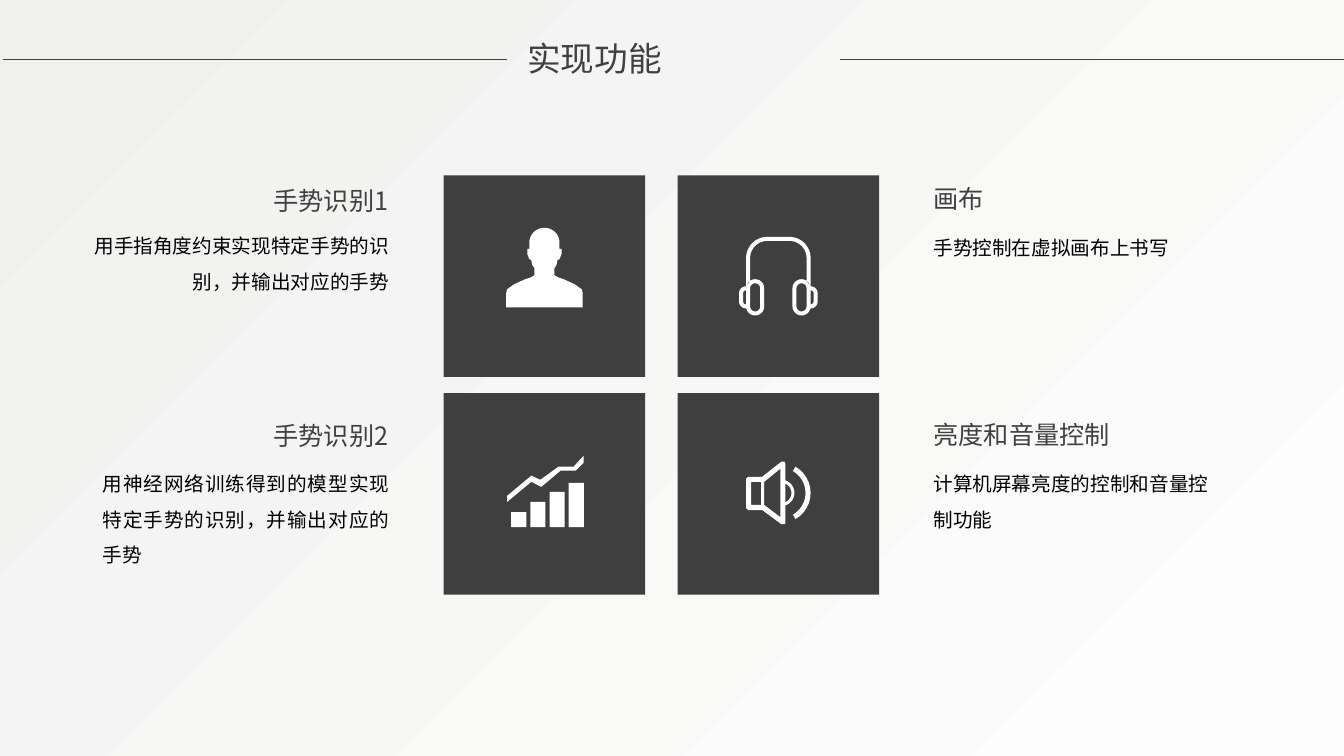
"""Builds the slide listing four functions around a two-by-two grid of icon tiles."""
from dataclasses import dataclass
from math import cos, radians, sin

from lxml import etree
from pptx import Presentation
from pptx.dml.color import RGBColor
from pptx.enum.shapes import MSO_CONNECTOR, MSO_SHAPE
from pptx.enum.text import MSO_ANCHOR, MSO_AUTO_SIZE, PP_ALIGN
from pptx.oxml.ns import qn
from pptx.shapes.base import BaseShape
from pptx.shapes.shapetree import GroupShapes, SlideShapes
from pptx.slide import Slide
from pptx.util import Inches, Pt

Point = tuple[float, float]
Contour = list[Point]

LEFT, RIGHT, JUSTIFY = PP_ALIGN.LEFT, PP_ALIGN.RIGHT, PP_ALIGN.JUSTIFY
TOP = MSO_ANCHOR.TOP
FIT_SHAPE = MSO_AUTO_SIZE.SHAPE_TO_FIT_TEXT
RECTANGLE = MSO_SHAPE.RECTANGLE
STRAIGHT = MSO_CONNECTOR.STRAIGHT

FONT = "Noto Sans CJK SC"
DARK = RGBColor(0x3F, 0x3F, 0x3F)
HEADING = RGBColor(0x40, 0x40, 0x40)
BLACK = RGBColor(0, 0, 0)
WHITE = RGBColor(0xFF, 0xFF, 0xFF)
PALE_GREY = RGBColor(0xF0, 0xF0, 0xEF)
NEAR_WHITE = RGBColor(0xFD, 0xFD, 0xFD)

TILE_SIZE = 2
TILE_LEFTS = (4.4, 6.72)
TILE_TOPS = (1.74, 3.9)
RULE_LEFTS = (0.03, 8.33)
RULE_LENGTH, RULE_Y = 5, 0.59


@dataclass(frozen=True)
class Box:
    left: float
    top: float
    width: float
    height: float


@dataclass(frozen=True)
class Feature:
    name: str
    detail: str
    name_box: Box
    detail_box: Box
    name_align: PP_ALIGN
    detail_align: PP_ALIGN


FEATURES = (
    Feature("手势识别1", "用手指角度约束实现特定手势的识别，并输出对应的手势",
            Box(2, 1.79, 1.95, 0.4), Box(0.76, 2.16, 3.2, 0.76), RIGHT, RIGHT),
    Feature("画布", "手势控制在虚拟画布上书写",
            Box(9.16, 1.77, 1.95, 0.4), Box(9.16, 2.17, 3.04, 0.41), LEFT, LEFT),
    Feature("手势识别2", "用神经网络训练得到的模型实现特定手势的识别，并输出对应的手势",
            Box(2, 4.12, 1.95, 0.4), Box(0.92, 4.52, 3.04, 1.12), RIGHT, JUSTIFY),
    Feature("亮度和音量控制", "计算机屏幕亮度的控制和音量控制功能",
            Box(9.16, 4.11, 1.95, 0.4), Box(9.16, 4.52, 3.04, 0.76), LEFT, LEFT),
)


def place(shape: BaseShape, box: Box) -> None:
    shape.left, shape.top = Inches(box.left), Inches(box.top)
    shape.width, shape.height = Inches(box.width), Inches(box.height)


def write(shape: BaseShape, text: str, *, size: float, color: RGBColor,
          align: PP_ALIGN = LEFT, spacing: float = 1.0) -> None:
    frame = shape.text_frame
    frame.word_wrap = True
    frame.auto_size = FIT_SHAPE
    frame.vertical_anchor = TOP
    paragraph = frame.paragraphs[0]
    paragraph.alignment, paragraph.line_spacing = align, spacing
    run = paragraph.add_run()
    run.text = text
    run.font.name, run.font.size = FONT, Pt(size)
    run.font.color.rgb = color
    etree.SubElement(run.font._element, qn("a:ea")).set("typeface", FONT)


def add_text(slide: Slide, text: str, box: Box, **text_format) -> None:
    textbox = slide.shapes.add_textbox(0, 0, 0, 0)
    place(textbox, box)
    write(textbox, text, **text_format)


def paint(shape: BaseShape, color: RGBColor) -> None:
    shape.shadow.inherit = False
    shape.fill.solid()
    shape.fill.fore_color.rgb = color
    shape.line.fill.background()


def add_block(shapes: SlideShapes | GroupShapes, box: Box, color: RGBColor) -> None:
    block = shapes.add_shape(RECTANGLE, 0, 0, 0, 0)
    place(block, box)
    paint(block, color)


def add_outline(shapes: SlideShapes | GroupShapes, contours: list[Contour]) -> None:
    scaled = [[(Inches(x), Inches(y)) for x, y in contour] for contour in contours]
    builder = shapes.build_freeform(*scaled[0][0], scale=1.0)
    for index, (start, *rest) in enumerate(scaled):
        if index:
            builder.move_to(*start)
        builder.add_line_segments(rest, close=True)
    paint(builder.convert_to_shape(), WHITE)


def arc(x: float, y: float, radius: float, start: float, end: float) -> Contour:
    steps = 12
    angles = [radians(start + (end - start) * step / steps) for step in range(steps + 1)]
    return [(x + radius * cos(angle), y + radius * sin(angle)) for angle in angles]


def mirror(points: Contour, axis: float) -> Contour:
    return [(2 * axis - x, y) for x, y in reversed(points)]


def capsule(x: float, top: float, bottom: float, radius: float) -> Contour:
    return arc(x, top, radius, 180, 360) + arc(x, bottom, radius, 0, 180)


def band(x: float, y: float, outer: float, inner: float,
         outer_angle: float, inner_angle: float) -> Contour:
    return (arc(x, y, outer, -outer_angle, outer_angle)
            + arc(x, y, inner, inner_angle, -inner_angle))


def add_person(slide: Slide) -> None:
    axis = 5.4
    right_side = arc(axis, 2.41, 0.15, -90, -8) + [
        (5.55, 2.47), (5.57, 2.47), (5.57, 2.52), (5.55, 2.57), (5.53, 2.58),
        (5.52, 2.63), (5.5, 2.66), (5.5, 2.73), (5.53, 2.75), (5.59, 2.77),
        (5.7, 2.82), (5.77, 2.87), (5.78, 2.91), (5.78, 3.05)]
    add_outline(slide.shapes, [right_side + mirror(right_side, axis)])


def add_headphones(slide: Slide) -> None:
    axis = 7.72
    outer_half = [(7.4, 2.84)] + arc(7.61, 2.56, 0.21, 180, 270)
    inner_half = [(7.44, 2.79)] + arc(7.61, 2.56, 0.17, 180, 270)
    inner_arch = inner_half + mirror(inner_half, axis)
    headband = outer_half + mirror(outer_half, axis) + inner_arch[::-1]
    pad = (arc(7.4, 2.91, 0.07, 270, 180) + arc(7.4, 2.99, 0.07, 180, 90)
           + arc(7.4, 2.99, 0.03, 90, 180) + arc(7.4, 2.91, 0.03, 180, 270))
    left_cup = [capsule(7.49, 2.86, 3.04, 0.09), capsule(7.49, 2.86, 3.04, 0.05), pad]
    right_cup = [mirror(contour, axis) for contour in left_cup]
    add_outline(slide.shapes, [headband, *left_cup, *right_cup])


def add_growth_chart(slide: Slide) -> None:
    icon = slide.shapes.add_group_shape().shapes
    baseline = 5.23
    for index, height in enumerate((0.15, 0.25, 0.35, 0.44)):
        add_block(icon, Box(5.07 + 0.19 * index, baseline - height, 0.15, height), WHITE)
    add_outline(icon, [[
        (5.69, 4.63), (5.54, 4.63), (5.36, 4.76), (5.27, 4.72), (5.03, 4.92), (5.03, 4.98),
        (5.27, 4.78), (5.37, 4.83), (5.56, 4.67), (5.71, 4.67), (5.79, 4.59), (5.79, 4.52)]])


def add_speaker(slide: Slide) -> None:
    body = [(7.4, 4.75), (7.42, 4.73), (7.56, 4.73), (7.75, 4.58), (7.78, 4.58), (7.79, 4.6),
            (7.79, 5.19), (7.78, 5.2), (7.75, 5.2), (7.56, 5.06), (7.42, 5.06), (7.4, 5.04)]
    magnet_hole = [(7.45, 4.78), (7.55, 4.78), (7.55, 5.01), (7.45, 5.01)]
    cone_hole = [(7.58, 4.78), (7.74, 4.65), (7.74, 5.13), (7.58, 5.01)]
    near_wave = band(7.75, 4.89, 0.13, 0.1, 72, 66)
    far_wave = band(7.74, 4.89, 0.3, 0.25, 60, 60)
    add_outline(slide.shapes, [body, magnet_hole, cone_hole, near_wave, far_wave])


def add_rule(slide: Slide, left: float) -> None:
    rule = slide.shapes.add_connector(STRAIGHT, Inches(left), Inches(RULE_Y),
                                      Inches(left + RULE_LENGTH), Inches(RULE_Y))
    rule.line.color.rgb, rule.line.width = DARK, Pt(0.5)
    etree.SubElement(rule._element.spPr, qn("a:effectLst"))


def set_background(slide: Slide) -> None:
    fill = slide.background.fill
    fill.gradient()
    fill.gradient_angle = 315
    for stop, position, color in zip(fill.gradient_stops, (0, 0.96), (PALE_GREY, NEAR_WHITE)):
        stop.position, stop.color.rgb = position, color


def main() -> None:
    deck = Presentation()
    deck.slide_width, deck.slide_height = Inches(13.33), Inches(7.5)
    slide = deck.slides.add_slide(deck.slide_layouts[5])
    set_background(slide)
    place(slide.shapes.title, Box(5.13, 0.33, 3.07, 0.5))
    write(slide.shapes.title, "实现功能", size=24, color=HEADING, align=JUSTIFY)
    for left in RULE_LEFTS:
        add_rule(slide, left)
    for top in TILE_TOPS:
        for left in TILE_LEFTS:
            add_block(slide.shapes, Box(left, top, TILE_SIZE, TILE_SIZE), DARK)
    for add_icon in (add_person, add_headphones, add_growth_chart, add_speaker):
        add_icon(slide)
    for feature in FEATURES:
        add_text(slide, feature.name, feature.name_box, size=18, color=HEADING,
                 align=feature.name_align)
        add_text(slide, feature.detail, feature.detail_box, size=14, color=BLACK,
                 align=feature.detail_align, spacing=1.5)
    deck.save("out.pptx")


if __name__ == "__main__":
    main()
